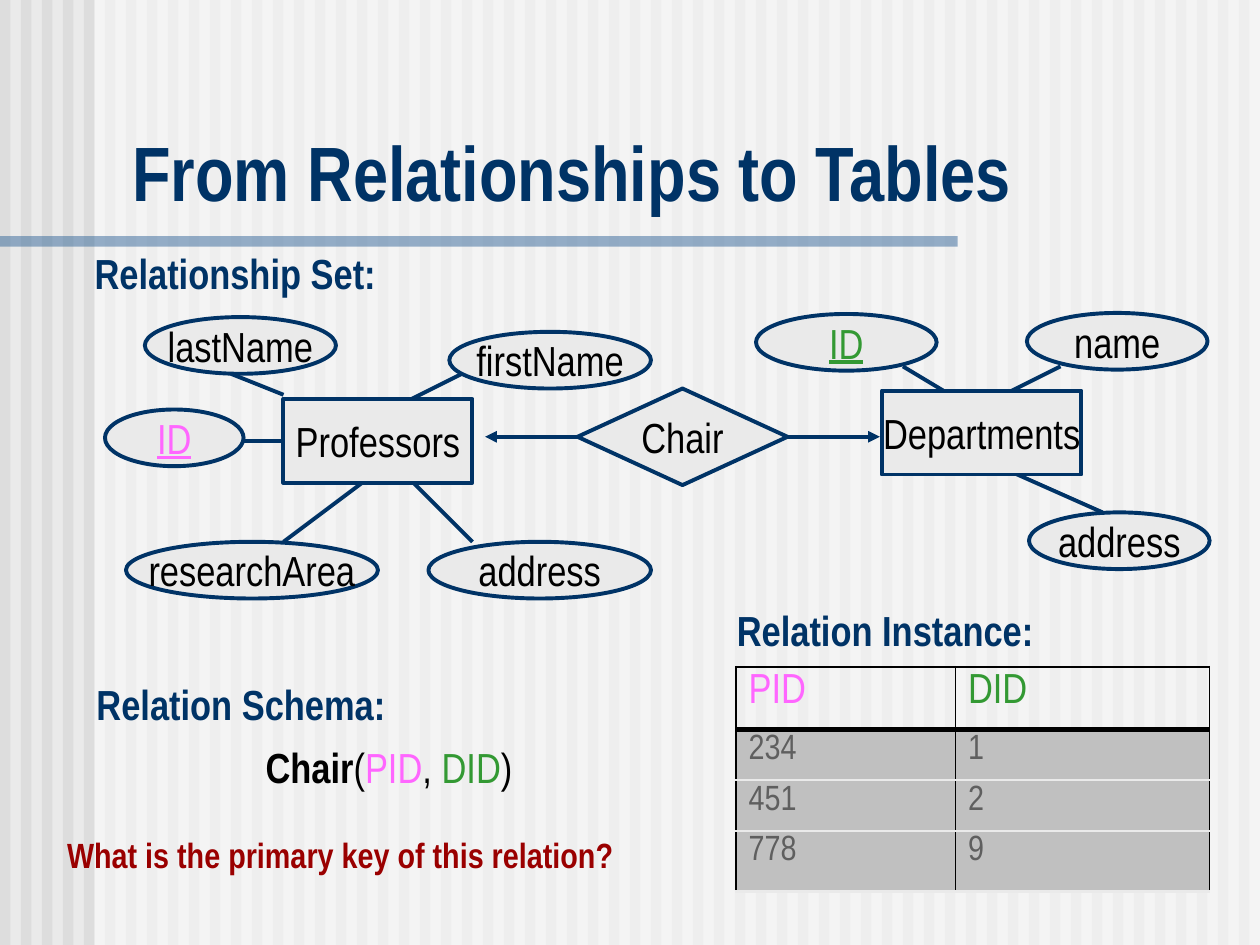
import pptx
import pptx.dml.color
import pptx.enum.shapes
import pptx.enum.text
import pptx.oxml
import pptx.oxml.ns
import pptx.util

FONT = "Arial Narrow"
COLOURS = {
    "paper": "EAEAEA", "stripe": "DDDDDD", "white": "FFFFFF", "rule": "336699",
    "navy": "003366", "black": "000000", "pink": "FF66FF", "green": "339933",
    "red": "9A0000", "row": "C0C0C0", "grey": "5F5F5F",
}
SHAPE = pptx.enum.shapes.MSO_SHAPE
ANCHOR = pptx.enum.text.MSO_ANCHOR
CENTER = pptx.enum.text.PP_ALIGN.CENTER
LEFT = pptx.enum.text.PP_ALIGN.LEFT
COLUMNS, ROWS = 120, 90          # the slide grid, 12 cells to the inch
ATTRIBUTE_HEIGHT = 5.4


def g(cells):
    return pptx.util.Inches(cells / 12)


def rgb(name):
    return pptx.dml.color.RGBColor.from_string(COLOURS[name])


def set_font(font, size, colour, bold=False):
    font.name, font.size, font.bold = FONT, pptx.util.Pt(size), bold
    font.color.rgb = rgb(colour)


def add_block(slide, kind, box, fill, outline=None, alpha=None):
    sp = slide.shapes.add_shape(kind, *map(g, box))
    sp.shadow.inherit = False
    sp.fill.solid()
    sp.fill.fore_color.rgb = rgb(fill)
    if alpha:
        colour = sp.fill._xPr.find(".//" + pptx.oxml.ns.qn("a:srgbClr"))
        colour.append(pptx.oxml.parse_xml(
            f'<a:alpha {pptx.oxml.ns.nsdecls("a")} val="{alpha * 1000}"/>'))
    if outline:
        sp.line.color.rgb = rgb(outline)
        sp.line.width = pptx.util.Pt(2.25)
    else:
        sp.line.fill.background()
    return sp


def add_node(slide, kind, box, label, colour="black"):
    """Outlined diagram shape; coloured labels are underlined keys."""
    sp = add_block(slide, kind, box, "paper", "navy")
    tf = sp.text_frame
    tf.word_wrap = False
    tf.vertical_anchor = ANCHOR.MIDDLE
    p = tf.paragraphs[0]
    p.text, p.alignment = label, CENTER
    set_font(p.font, 24, colour)
    p.font.underline = colour != "black"
    return sp


def add_line(slide, start, end, arrow=False):
    line = slide.shapes.add_connector(
        pptx.enum.shapes.MSO_CONNECTOR.STRAIGHT, *map(g, start + end))
    line.line.color.rgb = rgb("navy")
    line.line.width = pptx.util.Pt(2.25)
    ns = pptx.oxml.ns.nsdecls("a")
    if arrow:
        line.line._get_or_add_ln().append(
            pptx.oxml.parse_xml(f'<a:tailEnd {ns} type="triangle"/>'))
    line._element.spPr.append(pptx.oxml.parse_xml(f"<a:effectLst {ns}/>"))
    return line


def add_text(slide, box, runs, size=24, align=CENTER, wrap=False):
    """Text box from (text, colour, bold) runs."""
    tf = slide.shapes.add_textbox(*map(g, box)).text_frame
    tf.word_wrap = wrap
    tf.auto_size = pptx.enum.text.MSO_AUTO_SIZE.SHAPE_TO_FIT_TEXT
    p = tf.paragraphs[0]
    p.alignment = align
    for text, colour, bold in runs:
        r = p.add_run()
        r.text = text
        set_font(r.font, size, colour, bold)


def add_background(slide):
    slide.background.fill.solid()
    slide.background.fill.fore_color.rgb = rgb("paper")
    for column in range(0, COLUMNS, 2):
        add_block(slide, SHAPE.RECTANGLE, (column, 0, 1, ROWS), "stripe")
    add_block(slide, SHAPE.RECTANGLE, (9, 0, COLUMNS - 9, ROWS), "white", alpha=50)
    add_block(slide, SHAPE.RECTANGLE, (0, 22.5, 91.2, 1), "rule", alpha=50)


def add_title(slide, box, text):
    title = slide.shapes.title
    title.left, title.top, title.width, title.height = map(g, box)
    tf = title.text_frame
    tf.text, tf.vertical_anchor, tf.word_wrap = text, ANCHOR.BOTTOM, True
    tf.paragraphs[0].alignment = LEFT
    set_font(tf.paragraphs[0].font, 44, "navy", True)
    # Bring the title in front of the background stripes
    slide.shapes._spTree.append(title._element)


def add_entity(slide, box, name, attributes):
    """Entity with attributes; their places are relative to the entity's corner."""
    x, y, width, height = box
    lines = [add_line(slide, (x + start[0], y + start[1]), (x + end[0], y + end[1]))
             for *_, start, end in attributes]
    for label, colour, left, top, w, *_ in attributes:
        add_node(slide, SHAPE.OVAL, (x + left, y + top, w, ATTRIBUTE_HEIGHT),
                 label, colour)
    entity = add_node(slide, SHAPE.RECTANGLE, box, name)
    for line, (*_, end) in zip(lines, attributes):
        if end == (0, height / 2):
            line.end_connect(entity, 1)


def add_relationship(slide, box, name, reach):
    """Diamond with a level arrow of the given reach on each side."""
    x, y, width, height = box
    diamond = add_node(slide, SHAPE.DIAMOND, box, name)
    middle = y + height / 2
    for site, start, end in ((1, x, x - reach),
                             (3, x + width, x + width + reach)):
        line = add_line(slide, (start, middle), (end, middle), arrow=True)
        line.begin_connect(diamond, site)


def set_borders(cell, sides):
    tc_pr = cell._tc.get_or_add_tcPr()
    for side, (colour, width) in sides.items():
        tc_pr.append(pptx.oxml.parse_xml(
            f'<a:ln{side} {pptx.oxml.ns.nsdecls("a")} w="{pptx.util.Pt(width)}">'
            f'<a:solidFill><a:srgbClr val="{COLOURS[colour]}"/></a:solidFill>'
            f'</a:ln{side}>'))


def add_instance_table(slide, box, widths, heights, rows):
    table = slide.shapes.add_table(len(rows), len(widths), *map(g, box)).table
    table.first_row = table.horz_banding = False
    for column, width in zip(table.columns, widths):
        column.width = g(width)
    edge, inner = ("black", 1.08), ("black", 0.45)
    header_rule, row_rule = ("black", 3), ("paper", 1.47)
    rules = [edge, header_rule] + [row_rule] * (len(rows) - 1)
    for i, (height, values) in enumerate(zip(heights, rows)):
        table.rows[i].height = g(height)
        for j, value in enumerate(values):
            cell = table.cell(i, j)
            set_borders(cell, {"L": inner if j else edge, "R": edge if j else inner,
                               "T": rules[i], "B": rules[i + 1]})
            p = cell.text_frame.paragraphs[0]
            p.text = value
            if i:
                cell.fill.solid()
                cell.fill.fore_color.rgb = rgb("row")
                p.line_spacing, p.space_before = 0.9, pptx.util.Pt(5)
                set_font(p.font, 20, "grey")
            else:
                cell.fill.background()
                p.space_before = pptx.util.Pt(6)
                set_font(p.font, 24, ("pink", "green")[j])


def main():
    prs = pptx.Presentation()
    prs.slide_width, prs.slide_height = g(COLUMNS), g(ROWS)
    slide = prs.slides.add_slide(prs.slide_layouts[5])
    add_background(slide)
    add_title(slide, (11.4, 11.3, 107.2, 10), "From Relationships to Tables")

    # Section headings
    for box, text in (((7.8, 23, 29.2, 6), "Relationship Set:"),
                      ((68.8, 57, 31, 6), "Relation Instance:"),
                      ((8, 64, 29.9, 6), "Relation Schema:")):
        add_text(slide, box, [(text, "navy", True)])

    # Schema and question
    add_text(slide, (24.1, 70, 25.9, 6), [
        ("Chair", "black", True), ("(", "black", False), ("PID", "pink", False),
        (", ", "black", False), ("DID", "green", False), (")", "black", False)])
    add_text(slide, (5.2, 78.8, 55.8, 5.3),
             [("What is the primary key of this relation?", "red", True)],
             size=20, align=LEFT, wrap=True)

    # Diagram: label, colour, left, top, width, line start, line end
    add_entity(slide, (27, 38, 18, 8), "Professors", [
        ("lastName", "black", -13.2, -7.8, 18.2, (-5, -2.4), (0, -0.4)),
        ("firstName", "black", 15.8, -6.4, 19.2, (17, -2.4), (11, 0.6)),
        ("ID", "pink", -17, 1, 13.2, (-4, 4), (0, 4)),
        ("researchArea", "black", -15, 13.6, 24, (0, 13.6), (8, 7.6)),
        ("address", "black", 13.8, 13.6, 21.2, (18, 13.6), (12, 7.6))])
    add_entity(slide, (84, 37.2, 19, 8), "Departments", [
        ("ID", "green", -12, -7.3, 17.2, (2, -2.3), (7, 0.7)),
        ("name", "black", 13.8, -7.4, 17.2, (17, -2.3), (11, 0.7)),
        ("address", "black", 14, 11.6, 17.2, (21, 11.6), (12, 7.6))])
    add_relationship(slide, (55, 37, 20, 9.2), "Chair", reach=8.8)

    add_instance_table(slide, (70.1, 63.5, 45.1, 21.4), (20.9, 24.2),
                       (6, 4.8, 4.8, 5.8),
                       [("PID", "DID"), ("234", "1"), ("451", "2"), ("778", "9")])
    prs.save("out.pptx")


if __name__ == "__main__":
    main()
